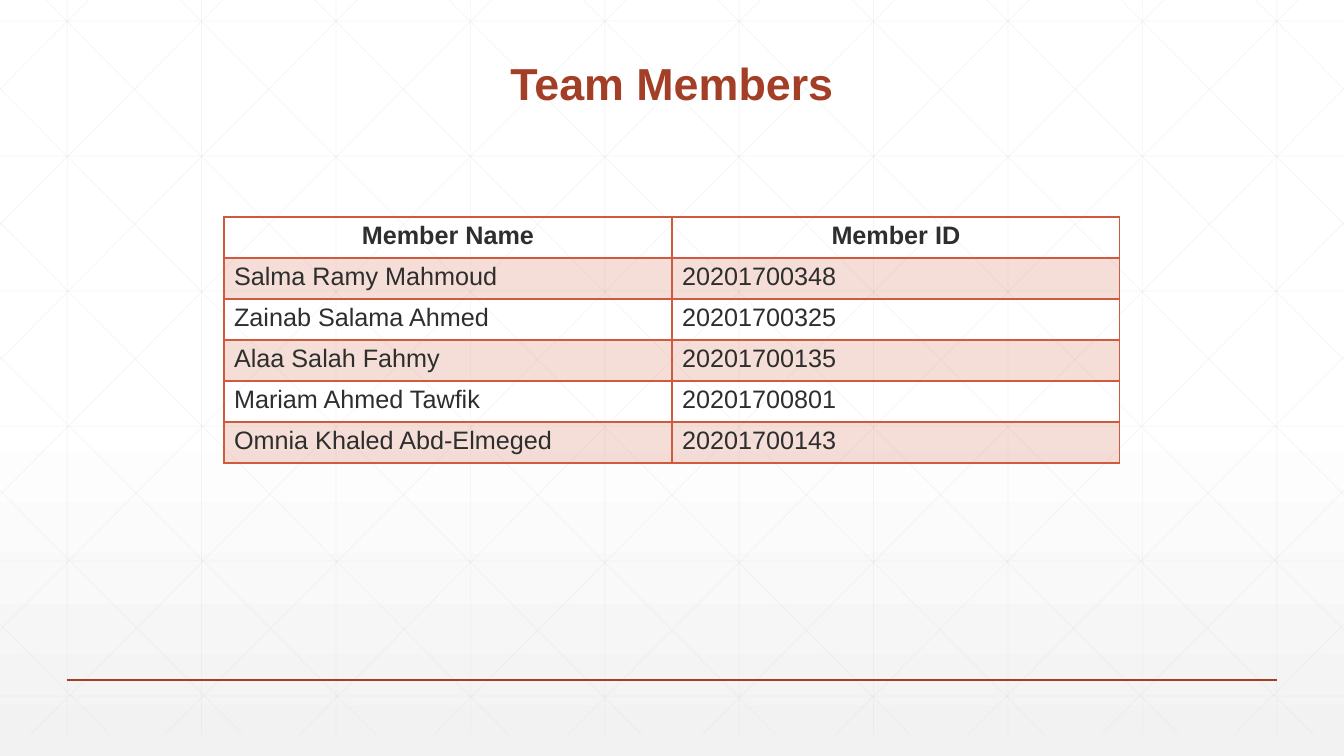
from lxml import etree
from pptx import Presentation
from pptx.dml.color import RGBColor
from pptx.enum.shapes import MSO_CONNECTOR
from pptx.enum.text import MSO_ANCHOR, PP_ALIGN
from pptx.oxml import parse_xml
from pptx.oxml.ns import nsdecls, qn
from pptx.util import Pt

STRAIGHT = MSO_CONNECTOR.STRAIGHT
CENTER, LEFT = PP_ALIGN.CENTER, PP_ALIGN.LEFT
BOTTOM, TOP = MSO_ANCHOR.BOTTOM, MSO_ANCHOR.TOP

WIDTH, HEIGHT = 1344, 756
EMU_PER_PX = 914400 / 100.8
FONT = "Arial"
COLORS = {
    "white": "FFFFFF",
    "pale_gray": "F2F2F2",
    "grid": "D9D9D9",
    "rust": "A43F27",
    "coral": "D15A3E",
    "ink": "2D2E2D",
}
MEMBERS = [
    ("Member Name", "Member ID"),
    ("Salma Ramy Mahmoud", "20201700348"),
    ("Zainab Salama Ahmed", "20201700325"),
    ("Alaa Salah Fahmy", "20201700135"),
    ("Mariam Ahmed Tawfik", "20201700801"),
    ("Omnia Khaled Abd-Elmeged", "20201700143"),
]


def px(length):
    return round(length * EMU_PER_PX)


def rgb(name):
    return RGBColor.from_string(COLORS[name])


def set_opacity(element, percent):
    """Add an alpha value to the colour inside element."""
    color = next(element.iter(qn("a:srgbClr")))
    etree.SubElement(color, qn("a:alpha")).set("val", str(percent * 1000))


def add_line(slide, start, end, color, width, opacity=100):
    line = slide.shapes.add_connector(STRAIGHT, *map(px, (*start, *end)))
    line.line.color.rgb = rgb(color)
    line.line.width = Pt(width)
    properties = line.element.spPr
    if opacity < 100:
        set_opacity(properties, opacity)
    etree.SubElement(properties, qn("a:effectLst"))


def write_text(frame, text, size, color, bold=False, align=LEFT, spacing=None):
    paragraph = frame.paragraphs[0]
    paragraph.alignment = align
    paragraph.line_spacing = spacing
    run = paragraph.add_run()
    run.text = text
    run.font.name = FONT
    run.font.size = Pt(size)
    run.font.bold = bold
    run.font.color.rgb = rgb(color)


def paint_background(slide):
    slide.background.fill.gradient()
    gradient = next(slide.element.iter(qn("a:gradFill")))
    stops = [(0, "white", 100), (53, "white", 100), (100, "pale_gray", 65)]
    stop_list = "".join(
        f'<a:gs pos="{position * 1000}"><a:srgbClr val="{COLORS[color]}">'
        f'<a:alpha val="{opacity * 1000}"/></a:srgbClr></a:gs>'
        for position, color, opacity in stops
    )
    gradient.getparent().replace(gradient, parse_xml(
        f'<a:gradFill {nsdecls("a")} rotWithShape="1"><a:gsLst>{stop_list}</a:gsLst>'
        '<a:lin ang="5400000" scaled="0"/></a:gradFill>'
    ))


def draw_grid(slide, top, width, height):
    """Draw faint upright, level and mirrored diagonal lines."""
    bottom = top + height
    columns, step = 10, width / 10
    diagonal_run = 751
    slope = height / diagonal_run
    lines = [((step * (i + 0.5), top), (step * (i + 0.5), bottom)) for i in range(columns)]
    lines += [((0, 21 + 135 * i), (width, 21 + 135 * i)) for i in range(6)]

    diagonals = []
    for i in range(columns):
        start = 25 + step * i
        run = min(diagonal_run, width - start)
        diagonals.append(((start, top), (start + run, top + run * slope)))
    for i in range(5):
        foot = 642 - 133 * i
        diagonals.append(((foot, bottom), (0, bottom - foot * slope)))
    mirrored = [((width - x1, y1), (width - x2, y2)) for (x1, y1), (x2, y2) in diagonals]

    for start, end in lines + diagonals + mirrored:
        add_line(slide, start, end, "grid", 0.5, opacity=25)


def add_title(slide, text, left, top, width, height):
    title = slide.shapes.add_textbox(*map(px, (left, top, width, height)))
    frame = title.text_frame
    frame.word_wrap = True
    frame.vertical_anchor = BOTTOM
    write_text(frame, text, 32, "rust", bold=True, align=CENTER, spacing=0.9)


def set_borders(cell, color, widths):
    properties = cell._tc.get_or_add_tcPr()
    for index, (side, width) in enumerate(widths.items()):
        properties.insert(index, parse_xml(
            f'<a:ln{side} {nsdecls("a")} w="{Pt(width)}"><a:solidFill>'
            f'<a:srgbClr val="{COLORS[color]}"/></a:solidFill></a:ln{side}>'
        ))


def add_member_table(slide, rows, left, top, width, row_height):
    box = (left, top, width, row_height * len(rows))
    table = slide.shapes.add_table(len(rows), len(rows[0]), *map(px, box)).table
    table.first_row = table.horz_banding = False
    for row_index, values in enumerate(rows):
        is_header = row_index == 0
        widths = {"L": 1, "R": 1, "T": 2 if row_index == 1 else 1, "B": 2 if is_header else 1}
        for column_index, value in enumerate(values):
            cell = table.cell(row_index, column_index)
            cell.vertical_anchor = TOP
            write_text(cell.text_frame, value, 18, "ink", bold=is_header,
                       align=CENTER if is_header else LEFT)
            if row_index % 2:
                cell.fill.solid()
                cell.fill.fore_color.rgb = rgb("coral")
                set_opacity(cell._tc.tcPr, 20)
            else:
                cell.fill.background()
            set_borders(cell, "coral", widths)


def build_team_slide(presentation):
    slide = presentation.slides.add_slide(presentation.slide_layouts[6])
    paint_background(slide)
    draw_grid(slide, -21, WIDTH, HEIGHT)
    add_line(slide, (67, 680), (WIDTH - 67, 680), "rust", 1)
    add_title(slide, "Team Members", 143, 47, 1058, 68)
    add_member_table(slide, MEMBERS, 224, 217, 896, 41)


def main():
    presentation = Presentation()
    presentation.slide_width = px(WIDTH)
    presentation.slide_height = px(HEIGHT)
    build_team_slide(presentation)
    presentation.save("out.pptx")


if __name__ == "__main__":
    main()
